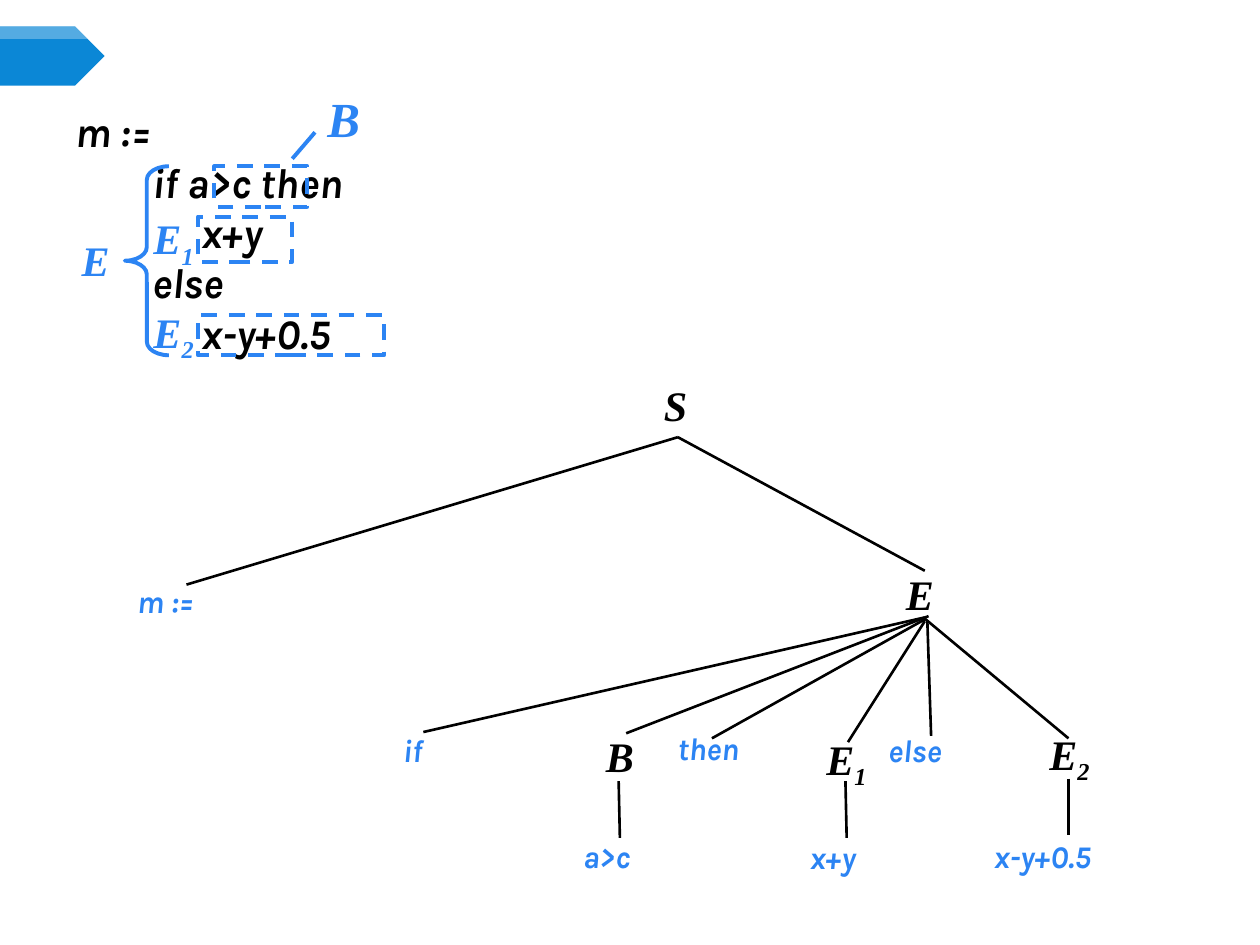
from lxml import etree
from pptx import Presentation
from pptx.dml.color import RGBColor
from pptx.enum.dml import MSO_LINE
from pptx.enum.shapes import MSO_CONNECTOR, MSO_SHAPE
from pptx.oxml.ns import qn
from pptx.util import Inches, Pt

BLUE, BLACK = "2C84F3", "000000"
SYMBOL = {"name": "Times New Roman", "size": Pt(24), "bold": True, "italic": True}
TOKEN = SYMBOL | {"name": "Karla", "size": Pt(18)}
CODE = TOKEN | {"size": Pt(24)}


def paint(color_format, hex_color):
    color_format.rgb = RGBColor.from_string(hex_color)


def add_run(paragraph, text, style, color, baseline=None):
    run = paragraph.add_run()
    run.text = text
    for attribute, value in style.items():
        setattr(run.font, attribute, value)
    paint(run.font.color, color)
    if baseline:
        run._r.get_or_add_rPr().set("baseline", str(baseline))


def add_frame(slide, left, top, width, height, wrap=True):
    frame = slide.shapes.add_textbox(
        Inches(left), Inches(top), Inches(width), Inches(height)).text_frame
    frame.word_wrap = wrap
    return frame


def add_label(slide, left, top, width, text, style, color, subscript="", wrap=True):
    height = 0.5 if style["name"] == SYMBOL["name"] else 0.4
    paragraph = add_frame(slide, left, top, width, height, wrap).paragraphs[0]
    add_run(paragraph, text, style, color)
    if subscript:
        add_run(paragraph, subscript, style, color, -25000)


def add_line(slide, start, end, color, weight):
    line = slide.shapes.add_connector(
        MSO_CONNECTOR.STRAIGHT, *[Inches(value) for value in (*start, *end)])
    paint(line.line.color, color)
    line.line.width = Pt(weight)
    etree.SubElement(line._element.spPr, qn("a:effectLst"))


def add_outline(slide, kind, left, top, width, height, dash=None):
    outline = slide.shapes.add_shape(
        kind, Inches(left), Inches(top), Inches(width), Inches(height))
    outline.shadow.inherit = False
    outline.fill.background()
    paint(outline.line.color, BLUE)
    outline.line.width = Pt(2.25)
    outline.line.dash_style = dash
    return outline


def draw_title_tab(slide, left, top, width, height):
    plate = slide.shapes.add_shape(
        MSO_SHAPE.PENTAGON, Inches(left), Inches(top), Inches(width), Inches(height))
    # Highlight follows the slope of the arrow tip
    shoulder, depth = width - height / 2, 0.1
    builder = slide.shapes.build_freeform(Inches(left), Inches(top))
    corners = [(shoulder, 0), (shoulder + depth, depth), (0, depth)]
    builder.add_line_segments(
        [(Inches(left + x), Inches(top + y)) for x, y in corners])
    highlight = builder.convert_to_shape()
    for part, color in ((plate, "0B87D6"), (highlight, "FFFFFF")):
        part.shadow.inherit = False
        part.fill.solid()
        paint(part.fill.fore_color, color)
        part.line.fill.background()
    tint = highlight._element.spPr.find(qn("a:solidFill"))[0]
    etree.SubElement(tint, qn("a:alpha")).set("val", "30000")


def draw_code(slide, left, top):
    # Source statement
    frame = add_frame(slide, left, top + 0.14, 2.82, 2.73)
    statement = [("m :=", 0), ("if a>c then", 0.61), ("x+y", 1),
                 ("else", 0.61), ("x-y+0.5", 1)]
    for index, (text, indent) in enumerate(statement):
        paragraph = frame.add_paragraph() if index else frame.paragraphs[0]
        paragraph._p.get_or_add_pPr().set("marL", str(Inches(indent)))
        add_run(paragraph, text, CODE, BLACK)

    # Dashed frames around the sub-expressions
    for x, y, width, height in [(1.2, 0.67, 0.74, 0.32), (1.07, 1.07, 0.75, 0.36),
                                (1.07, 1.85, 1.48, 0.32)]:
        add_outline(slide, MSO_SHAPE.RECTANGLE, left + x, top + y,
                    width, height, MSO_LINE.DASH)

    # Brace over the whole expression
    brace = add_outline(slide, MSO_SHAPE.LEFT_BRACE, left + 0.49, top + 0.67, 0.35, 1.5)
    brace.adjustments[0] = 0.308

    # Names of the expressions
    add_line(slide, (left + 1.82, top + 0.61), (left + 2, top + 0.4), BLUE, 2.25)
    add_label(slide, left + 2, top, 0.56, "B", SYMBOL | {"size": Pt(28)}, BLUE)
    for x, y, width, subscript in [(0.05, 1.16, 0.43, ""), (0.62, 0.99, 0.53, "1"),
                                   (0.62, 1.73, 0.53, "2")]:
        add_label(slide, left + x, top + y, width, "E", SYMBOL, BLUE, subscript, wrap=False)


def draw_parse_tree(slide, left, top):
    # Branches from S, branches from E, then stems to the leaves
    branches = [
        ((4.39, 0.51), (0.49, 1.68)), ((4.39, 0.51), (6.35, 1.57)),
        ((6.35, 1.94), (2.37, 2.85)), ((6.38, 1.93), (3.98, 2.86)),
        ((6.36, 1.95), (4.66, 2.9)), ((6.35, 1.97), (5.74, 2.93)),
        ((6.37, 1.97), (6.4, 2.88)), ((6.35, 1.95), (7.49, 2.9)),
        ((3.92, 3.24), (3.93, 3.69)), ((5.72, 3.24), (5.73, 3.69)),
        ((7.49, 3.22), (7.49, 3.67)),
    ]
    for branch in branches:
        start, end = [(left + x, top + y) for x, y in branch]
        add_line(slide, start, end, BLACK, 1.5)

    # Nonterminal symbols
    for x, y, width, text, subscript in [
            (4.18, 0, 0.42, "S", ""), (6.1, 1.5, 0.58, "E", ""),
            (3.72, 2.79, 0.46, "B", ""), (5.47, 2.81, 0.58, "E", "1"),
            (7.24, 2.77, 0.58, "E", "2")]:
        add_label(slide, left + x, top + y, width, text, SYMBOL, BLACK, subscript)

    # Terminal tokens
    for x, y, width, text in [
            (0, 1.61, 0.96, "m :="), (2.11, 2.79, 0.4, "if"),
            (4.29, 2.78, 0.84, "then"), (5.96, 2.79, 0.84, "else"),
            (3.54, 3.63, 0.75, "a>c"), (5.34, 3.64, 0.76, "x+y"),
            (6.8, 3.63, 1.31, "x-y+0.5")]:
        add_label(slide, left + x, top + y, width, text, TOKEN, BLUE)


def main():
    presentation = Presentation()
    presentation.slide_width, presentation.slide_height = Inches(10), Inches(7.5)
    slide = presentation.slides.add_slide(presentation.slide_layouts[6])
    draw_title_tab(slide, 0, 0.21, 0.83, 0.47)
    draw_code(slide, 0.5, 0.65)
    draw_parse_tree(slide, 0.99, 2.96)
    presentation.save("out.pptx")


if __name__ == "__main__":
    main()
